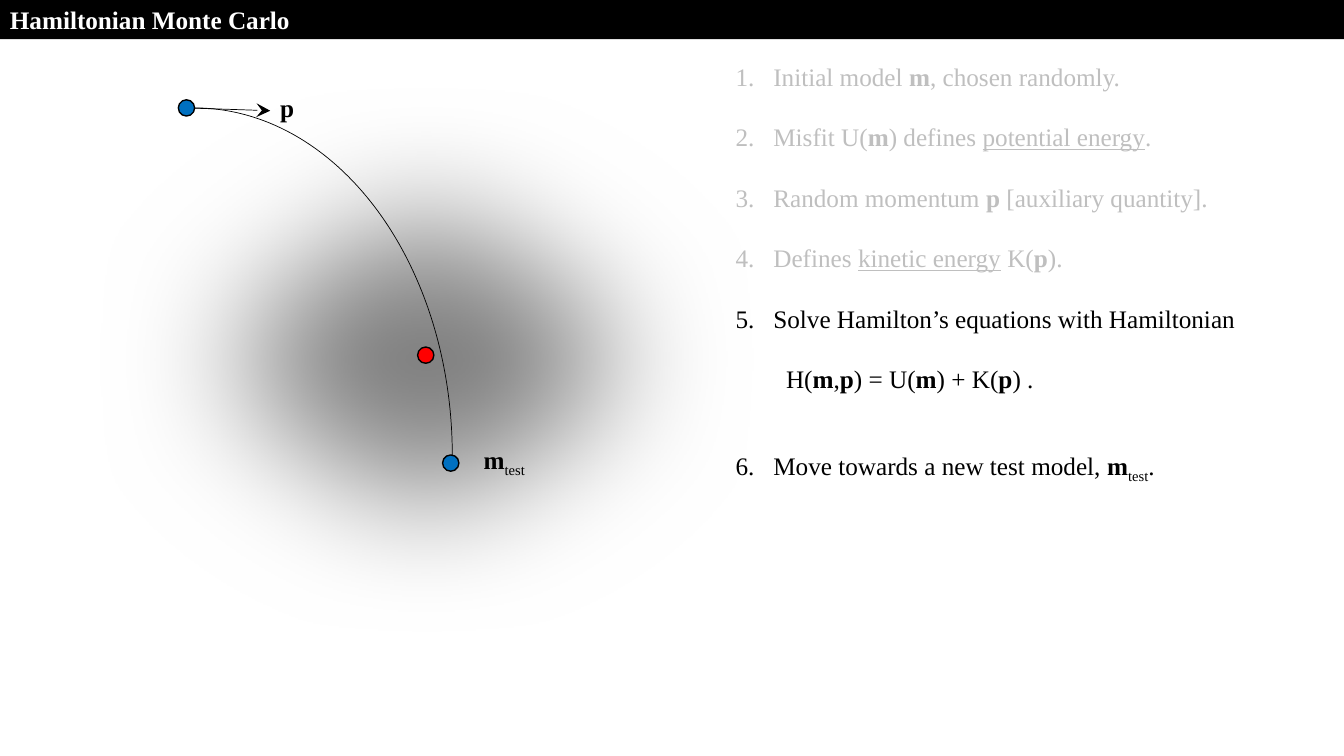
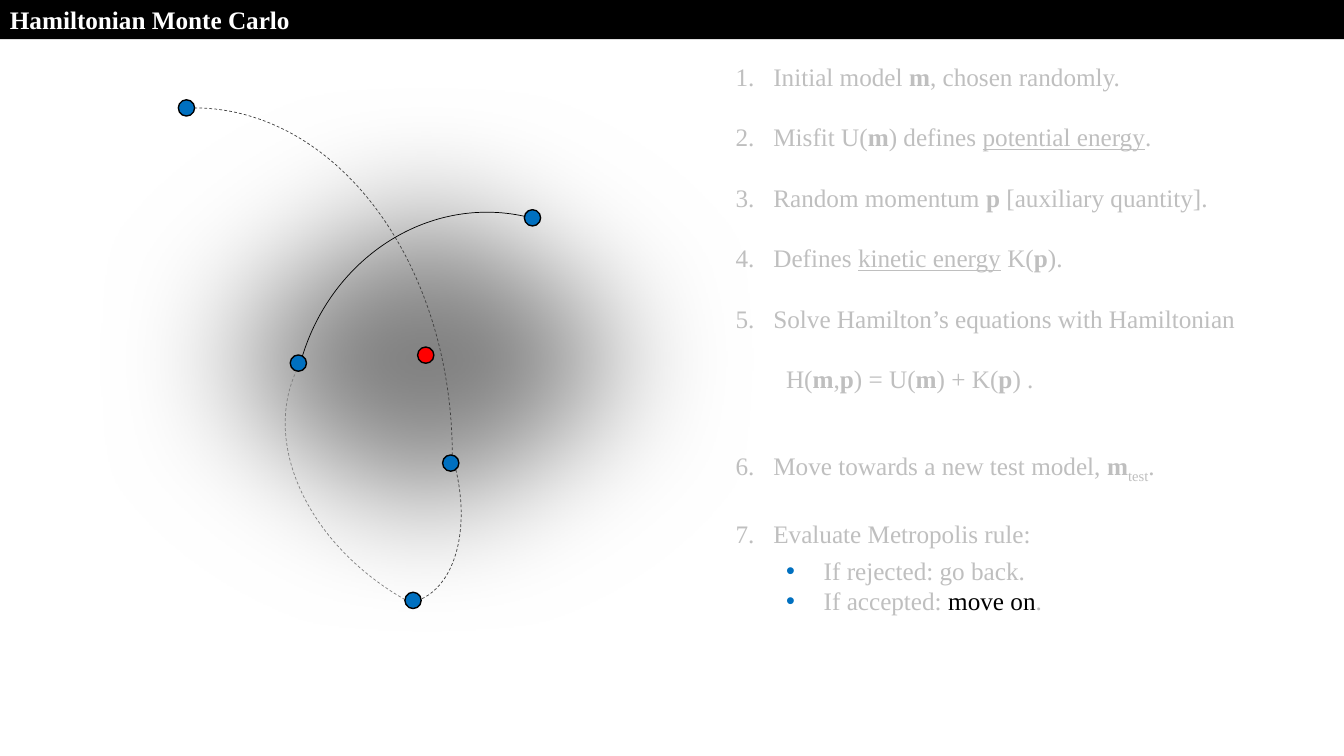
"""Build two slides on Hamiltonian Monte Carlo."""
from lxml.etree import SubElement as Sub
from pptx import Presentation as Deck
from pptx.dml.color import RGBColor as Rgb
from pptx.enum.dml import MSO_LINE as Dash
from pptx.enum.shapes import MSO_CONNECTOR as Link, MSO_SHAPE as Form
from pptx.enum.text import MSO_ANCHOR as Anchor, PP_ALIGN as Align
from pptx.oxml.ns import qn
from pptx.util import Cm, Pt

BLACK = Rgb(0, 0, 0)
WHITE = Rgb(255, 255, 255)
RED = Rgb(255, 0, 0)
BLUE = Rgb(0, 0x70, 0xC0)
DARK = Rgb(0x40, 0x40, 0x40)
GREY = Rgb(0x80, 0x80, 0x80)
PALE = Rgb(0xBF, 0xBF, 0xBF)

FONT = "Times New Roman"
SIZE = Pt(18)
LEAD = 21.6
DOT = 0.41
SOFT = Pt(100)

START, TEST, LOW, LEFT, LAST = (
    (4.7, 2.72), (11.36, 11.67), (10.41, 15.13), (7.52, 9.15), (13.42, 5.49))
PEAK = (10.73, 8.95)
FIRST = (-1.6, 2.72, 13, 17.5)

MODEL = [("m", "b"), ("test", "s")]
SETUP = [
    ("num", 0, [("Initial model ", ""), ("m", "b"), (", chosen randomly.", "")]),
    ("num", LEAD, [("Misfit U(", ""), ("m", "b"), (") defines ", ""),
                   ("potential energy", "u"), (".", "")]),
    ("num", LEAD, [("Random momentum ", ""), ("p", "b"),
                   (" [auxiliary quantity].", "")]),
    ("num", LEAD, [("Defines ", ""), ("kinetic energy", "u"), (" K(", ""),
                   ("p", "b"), (").", "")]),
]
MOVE = [
    ("num", LEAD, [("Solve Hamilton’s equations with Hamiltonian", "")]),
    ("sum", LEAD, [("H(", ""), ("m", "b"), (",", ""), ("p", "b"),
                   (") = U(", ""), ("m", "b"), (") + K(", ""), ("p", "b"),
                   (") .", "")]),
    ("num", 2 * LEAD, [("Move towards a new test model, ", ""), *MODEL, (".", "")]),
]
RULE = [
    ("num", 24, [("Evaluate Metropolis rule:", "")]),
    ("dot", 4.8, [("If rejected: go back.", "")]),
    ("dot", 0, [("If accepted: ", ""), ("move on", "k"), (".", "")]),
]
INDENT = {"num": (0.95, -0.95), "sum": (1.27, 0), "dot": (2.22, -0.95)}


class Board:
    """Hold the style and the current slide."""

    def __init__(self):
        self.deck = Deck()
        self.deck.slide_width, self.deck.slide_height = Cm(33.87), Cm(19.05)
        self.slide = None

    def page(self, title):
        """Start a slide with its cloud, peak and title band."""
        self.slide = self.deck.slides.add_slide(self.deck.slide_layouts[6])
        self.cloud(1.22, 1.42, 19.08, 15.29)
        self.dot(PEAK, RED)
        band = self.shape(Form.RECTANGLE, (0, -0.03, 33.87, 1.02), BLACK)
        frame = band.text_frame
        frame.vertical_anchor = Anchor.MIDDLE
        para = frame.paragraphs[0]
        para.alignment = Align.LEFT
        self.runs(para, [(title, "b")], WHITE)

    def shape(self, form, box, fill=None, line=None, width=1.0):
        """Add a flat preset shape."""
        item = self.slide.shapes.add_shape(form, *map(Cm, box))
        item.shadow.inherit = False
        if fill is None:
            item.fill.background()
        else:
            item.fill.solid()
            item.fill.fore_color.rgb = fill
        if line is None:
            item.line.fill.background()
        else:
            item.line.color.rgb = line
            item.line.width = Pt(width)
        return item

    def cloud(self, *box):
        """Add a grey ellipse with a soft edge."""
        item = self.shape(Form.OVAL, box, GREY)
        effect = item._element.spPr.find(qn("a:effectLst"))
        Sub(effect, qn("a:softEdge"), rad=str(SOFT))

    def dot(self, spot, fill=BLUE):
        """Add a model dot centred on a spot."""
        x, y = spot
        self.shape(Form.OVAL, (x - DOT / 2, y - DOT / 2, DOT, DOT), fill, BLACK)

    def arc(self, box, turn=0, color=BLACK, dash=False):
        """Add a quarter of an ellipse as a trajectory."""
        item = self.shape(Form.ARC, box, line=color, width=0.5)
        item.rotation = turn
        if dash:
            item.line.dash_style = Dash.DASH

    def arrow(self, *ends):
        """Add a thin line with a stealth head."""
        item = self.slide.shapes.add_connector(Link.STRAIGHT, *map(Cm, ends))
        item.line.color.rgb = BLACK
        item.line.width = Pt(0.5)
        Sub(item.line._get_or_add_ln(), qn("a:tailEnd"),
            type="stealth", w="lg", len="lg")
        Sub(item._element.spPr, qn("a:effectLst"))

    def runs(self, para, parts, color):
        """Add styled runs to a paragraph."""
        for text, style in parts:
            run = para.add_run()
            run.text = text
            font = run.font
            font.name, font.size = FONT, SIZE
            font.bold = "b" in style
            font.underline = "u" in style
            font.color.rgb = BLACK if "k" in style else color
            if "s" in style:
                run._r.get_or_add_rPr().set("baseline", "-25000")

    def frame(self, *box):
        """Add a wrapping text box."""
        frame = self.slide.shapes.add_textbox(*map(Cm, box)).text_frame
        frame.word_wrap = True
        return frame

    def label(self, box, parts):
        """Add a short black label."""
        self.runs(self.frame(*box).paragraphs[0], parts, BLACK)

    def steps(self, high, *groups):
        """Add the numbered steps from coloured groups."""
        frame = self.frame(18.29, 1.42, 13.97, high)
        rows = [(color, *row) for color, group in groups for row in group]
        for i, (color, kind, gap, parts) in enumerate(rows):
            para = frame.add_paragraph() if i else frame.paragraphs[0]
            para.line_spacing = Pt(LEAD)
            para.space_before = Pt(gap)
            para.level = 0 if kind == "num" else 1
            self.mark(para, kind)
            self.runs(para, parts, color)

    def mark(self, para, kind):
        """Set the indent and the number or bullet."""
        props = para._p.get_or_add_pPr()
        left, first = INDENT[kind]
        props.set("marL", str(Cm(left)))
        props.set("indent", str(Cm(first)))
        if kind == "num":
            Sub(props, qn("a:buFont"), typeface="+mj-lt")
            Sub(props, qn("a:buAutoNum"), type="arabicPeriod")
        elif kind == "dot":
            Sub(Sub(props, qn("a:buClr")), qn("a:srgbClr"), val=str(BLUE))
            Sub(props, qn("a:buFont"), typeface="Arial")
            Sub(props, qn("a:buChar"), char="•")
        else:
            Sub(props, qn("a:buNone"))


def main():
    """Draw and save both slides."""
    board = Board()
    title = "Hamiltonian Monte Carlo"

    board.page(title)
    board.arrow(4.72, 2.72, 6.81, 2.79)
    board.arc(FIRST)
    for spot in (START, TEST):
        board.dot(spot)
    board.label((6.81, 2.21, 1.19, 1.02), [("p", "b")])
    board.label((11.94, 11.07, 2.41, 1.02), MODEL)
    board.steps(11.02, (PALE, SETUP), (BLACK, MOVE))

    board.page(title)
    board.arc(FIRST, 0, DARK, True)
    board.arc((6.43, 10.21, 6.3, 3.84), 73.8, DARK, True)
    board.arc((6.91, 7.75, 10.59, 7.9), 208.6, GREY, True)
    board.arc((7.04, 5.69, 10.13, 9.4), 284.1)
    for spot in (START, TEST, LOW, LEFT, LAST):
        board.dot(spot)
    board.steps(14.27, (PALE, SETUP + MOVE + RULE))

    board.deck.save("out.pptx")


if __name__ == "__main__":
    main()
